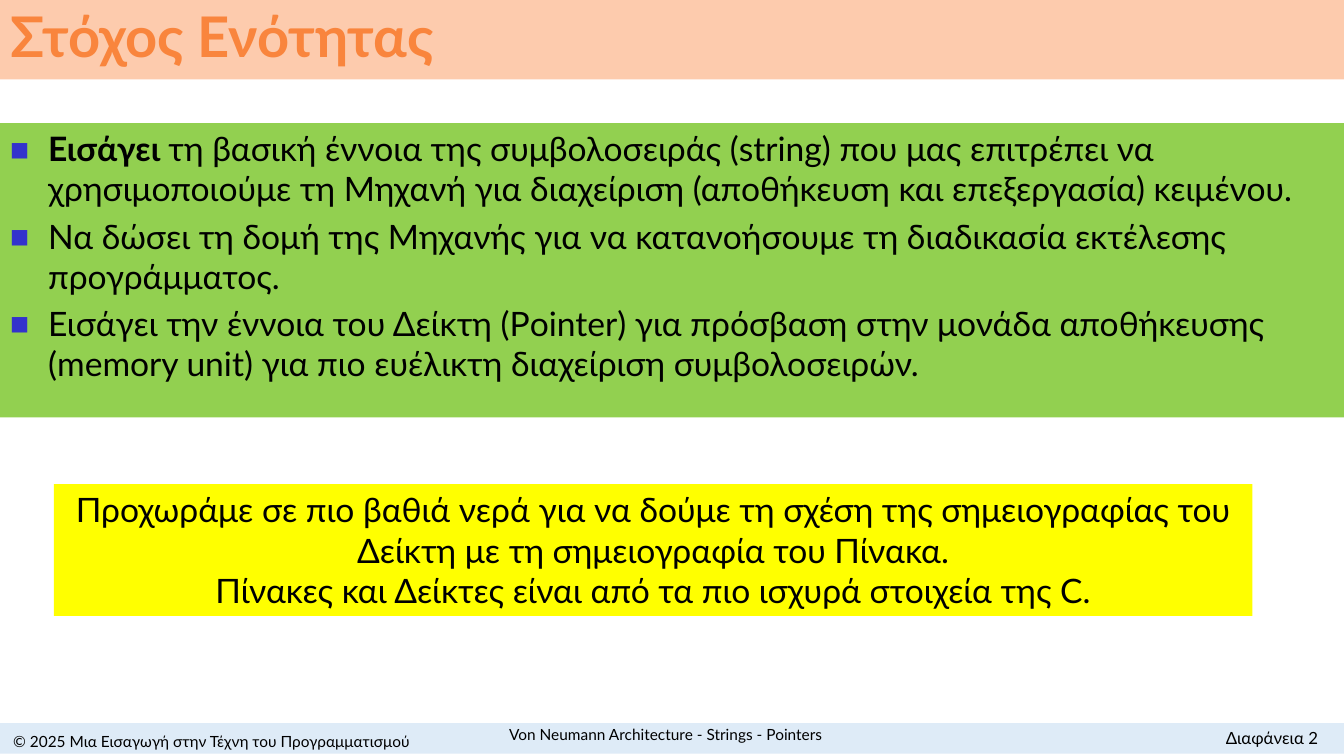
from lxml import etree
from pptx import Presentation
from pptx.dml.color import RGBColor
from pptx.enum.shapes import MSO_SHAPE
from pptx.enum.text import MSO_ANCHOR, MSO_AUTO_SIZE, PP_ALIGN
from pptx.oxml.ns import qn
from pptx.util import Cm, Pt

RECT = MSO_SHAPE.RECTANGLE
TOP, MID = MSO_ANCHOR.TOP, MSO_ANCHOR.MIDDLE
LEFT, CENTER, RIGHT = PP_ALIGN.LEFT, PP_ALIGN.CENTER, PP_ALIGN.RIGHT
FIXED = MSO_AUTO_SIZE.NONE

FONT = "Lato"
HUES = {
    "peach": "FDCBAD", "orange": "F9853D", "green": "92D050",
    "yellow": "FFFF00", "pale": "DEEBF7", "black": "000000", "blue": "3333CC",
}
WIDE = 33.87


def setup(shape, box, anchor, fill=None):
    """Place a shape, set its frame and fill, and return the frame."""
    shape.left, shape.top, shape.width, shape.height = map(Cm, box)
    if fill:
        shape.fill.solid()
        shape.fill.fore_color.rgb = RGBColor.from_string(HUES[fill])
    frame = shape.text_frame
    frame.word_wrap = True
    frame.auto_size = FIXED
    frame.vertical_anchor = anchor
    return frame


def write(para, text, size, align, hue="black", bold=False):
    """Add one run to a paragraph."""
    para.alignment = align
    run = para.add_run()
    run.text = text
    run.font.name = FONT
    run.font.size = Pt(size)
    run.font.bold = bold
    run.font.color.rgb = RGBColor.from_string(HUES[hue])


deck = Presentation()
deck.slide_width, deck.slide_height = Cm(WIDE), Cm(19.05)
slide = deck.slides.add_slide(deck.slide_layouts[1])
shapes = slide.shapes
title, body = slide.placeholders

# Title band
frame = setup(title, (0, 0, WIDE, 2), MID, "peach")
frame.paragraphs[0].line_spacing = 0.9
write(frame.paragraphs[0], "Στόχος Ενότητας", 40, LEFT, "orange", True)

# Goals: each item is a list of (text, bold) runs
goals = [
    [("Εισάγει ", True),
     ("τη βασική έννοια της συμβολοσειράς (string) που μας επιτρέπει να "
      "χρησιμοποιούμε τη Μηχανή για διαχείριση (αποθήκευση και επεξεργασία) "
      "κειμένου.", False)],
    [("Να δώσει τη δομή της Μηχανής για να κατανοήσουμε τη διαδικασία "
      "εκτέλεσης προγράμματος.", False)],
    [("Εισάγει την έννοια του Δείκτη (Pοinter) για πρόσβαση στην μονάδα "
      "αποθήκευσης (memory unit) για πιο ευέλικτη διαχείριση "
      "συμβολοσειρών.", False)],
]
frame = setup(body, (0, 3.1, WIDE, 7.42), TOP, "green")
for i, goal in enumerate(goals):
    para = frame.add_paragraph() if i else frame.paragraphs[0]
    para.space_before = Pt(4.8 if i else 0)
    props = para._p.get_or_add_pPr()
    props.set("marL", str(Cm(0.96)))
    props.set("indent", str(-Cm(0.96)))
    tint = etree.SubElement(props, qn("a:buClr"))
    etree.SubElement(tint, qn("a:srgbClr"), val=HUES["blue"])
    etree.SubElement(props, qn("a:buSzPct"), val="60000")
    etree.SubElement(props, qn("a:buFont"), typeface=FONT)
    etree.SubElement(props, qn("a:buChar"), char="■")
    for text, bold in goal:
        write(para, text, 24, LEFT, bold=bold)

# Yellow note and footer band
note = shapes.add_shape(RECT, 0, 0, 0, 0)
band = shapes.add_shape(RECT, 0, 0, 0, 0)
for shape in (note, band):
    shape.shadow.inherit = False
    shape.line.fill.background()
setup(band, (0, 18.22, WIDE, 0.77), MID, "pale")
frame = setup(note, (1.36, 12.2, 30.2, 3.32), TOP, "yellow")
lines = [
    "Προχωράμε σε πιο βαθιά νερά για να δούμε τη σχέση της σημειογραφίας "
    "του Δείκτη με τη σημειογραφία του Πίνακα.",
    "Πίνακες και Δείκτες είναι από τα πιο ισχυρά στοιχεία της C.",
]
for i, line in enumerate(lines):
    para = frame.add_paragraph() if i else frame.paragraphs[0]
    write(para, line, 24, CENTER)

# Footer texts
notes = [
    ("© 2025 Μια Εισαγωγή στην Τέχνη του Προγραμματισμού",
     (0, 18.34, 10.67, 0.66), MID, 11, CENTER),
    ("Von Neumann Architecture - Strings - Pointers",
     (10.34, 18.13, 12.88, 0.76), MID, 11, CENTER),
    ("Διαφάνεια 2", (28.25, 18.22, 5.22, 0.77), TOP, 12, RIGHT),
]
for text, box, anchor, size, align in notes:
    frame = setup(shapes.add_textbox(0, 0, 0, 0), box, anchor)
    write(frame.paragraphs[0], text, size, align)

deck.save("out.pptx")
